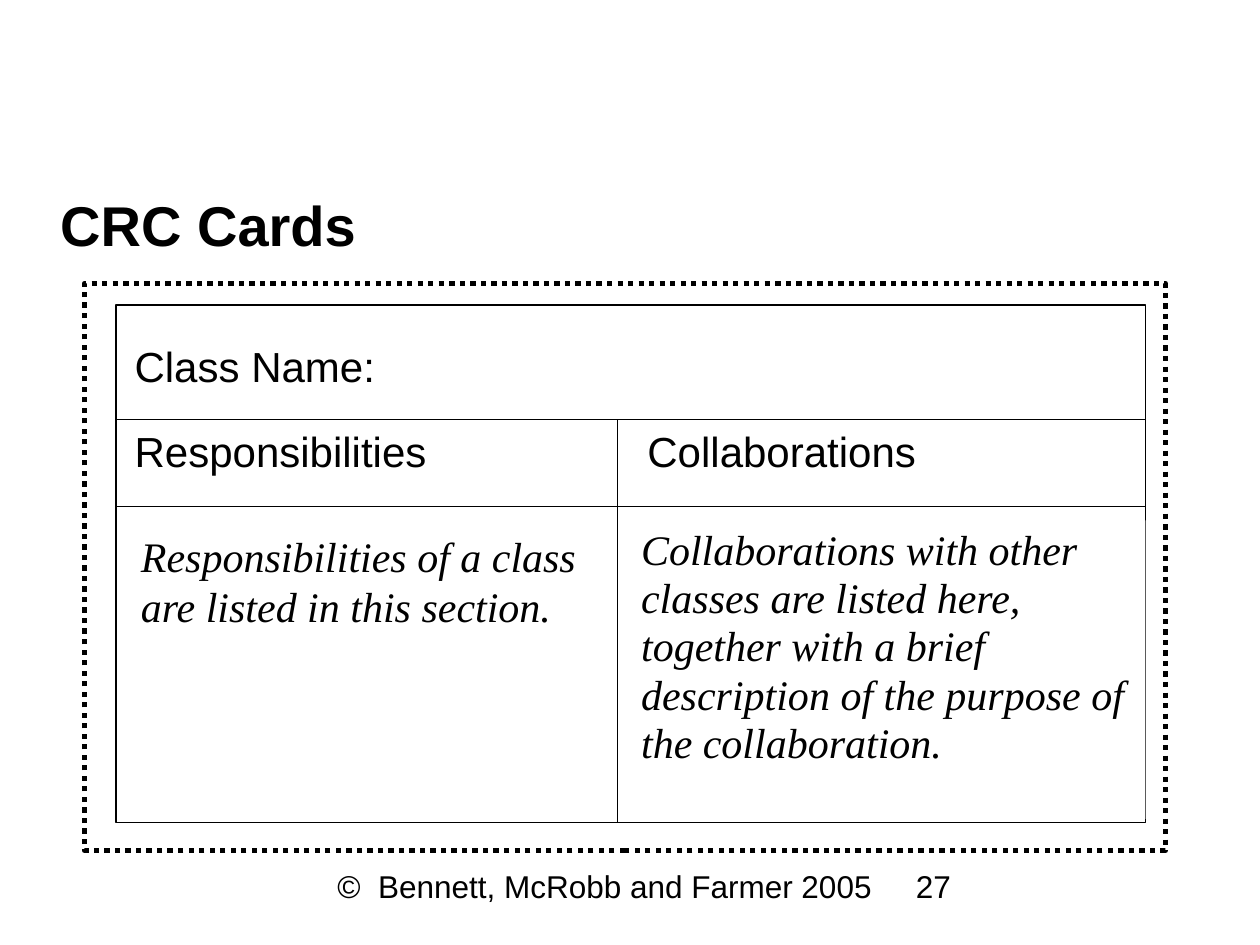
from pptx import Presentation
from pptx import util as u
from pptx.dml.color import RGBColor
from pptx.enum import dml, shapes, text
from pptx.oxml.ns import qn
from lxml import etree

BLACK = RGBColor(0, 0, 0)
WHITE = RGBColor(255, 255, 255)
SANS, SERIF = "Arial", "Times New Roman"

# Content
TITLE = "CRC Cards"
CLASS_LABEL = "Class Name:"
HEADINGS = ["Responsibilities", "Collaborations"]
DESCRIPTIONS = [
    "Responsibilities of a class are listed in this section.",
    "Collaborations with other classes are listed here, together with a brief "
    "description of the purpose of the collaboration.",
]
CREDIT = "©  Bennett, McRobb and Farmer 2005"
PAGE = "27"

# Card grid, in inches: column edges and row edges
COLS = [0.92, 4.9, 9.09]
ROWS = [2.42, 3.33, 4.02, 6.53]
HEADING_LEFTS = [COLS[0] + 0.05, COLS[1] + 0.14]
DESCRIPTION_BOXES = [(1.02, 4.16, 3.85, 2.32), (4.99, 4.13, 4.1, 2.37)]
DESCRIPTION_SPACING = [1.0, 0.96]

prs = Presentation()
prs.slide_width, prs.slide_height = u.Inches(10), u.Inches(7.5)
slide = prs.slides.add_slide(prs.slide_layouts[6])


def inches(values):
    return [u.Inches(v) for v in values]


def add_words(words, box, size=24, font=SANS, bold=False, italic=False,
              spacing=None, fill=None, anchor=text.MSO_ANCHOR.TOP):
    holder = slide.shapes.add_textbox(*inches(box))
    if fill is not None:
        holder.fill.solid()
        holder.fill.fore_color.rgb = fill
    frame = holder.text_frame
    frame.word_wrap = True
    frame.vertical_anchor = anchor
    line = frame.paragraphs[0]
    line.line_spacing = spacing
    run = line.add_run()
    run.text = words
    run.font.name, run.font.size = font, u.Pt(size)
    run.font.bold, run.font.italic = bold, italic
    run.font.color.rgb = BLACK


def add_frame(box, width, dash=None):
    frame = slide.shapes.add_shape(shapes.MSO_SHAPE.RECTANGLE, *inches(box))
    frame.shadow.inherit = False
    frame.fill.solid()
    frame.fill.fore_color.rgb = WHITE
    frame.line.color.rgb = BLACK
    frame.line.width = u.Pt(width)
    frame.line.dash_style = dash


def add_rule(x1, y1, x2, y2):
    rule = slide.shapes.add_connector(
        shapes.MSO_CONNECTOR.STRAIGHT, *inches((x1, y1, x2, y2)))
    rule.line.color.rgb = BLACK
    rule.line.width = u.Pt(0.75)
    etree.SubElement(rule._element.spPr, qn("a:effectLst"))


# Footer and title
add_words(CREDIT, (2.58, 6.83, 4.83, 0.5), size=18)
add_words(PAGE, (7.17, 6.83, 2.08, 0.5), size=18)
add_words(TITLE, (0.38, 1.4, 9.24, 0.76), size=32, bold=True,
          anchor=text.MSO_ANCHOR.MIDDLE)

# Dotted border and card outline
add_frame((0.67, 2.25, 8.58, 4.5), 3, dml.MSO_LINE.ROUND_DOT)
add_frame((COLS[0], ROWS[0], COLS[-1] - COLS[0], ROWS[-1] - ROWS[0]), 0.75)

# Card text
add_words(CLASS_LABEL, (HEADING_LEFTS[0], 2.65, 2.23, 0.68))
for heading, left in zip(HEADINGS, HEADING_LEFTS):
    add_words(heading, (left, ROWS[1], 2.86, ROWS[2] - ROWS[1]))
for words, box, spacing in zip(DESCRIPTIONS, DESCRIPTION_BOXES,
                               DESCRIPTION_SPACING):
    add_words(words, box, font=SERIF, italic=True, spacing=spacing, fill=WHITE)

# Card rules
for y in ROWS[1:3]:
    add_rule(COLS[0], y, COLS[-1], y)
add_rule(COLS[1], ROWS[1], COLS[1], ROWS[-1])

prs.save("out.pptx")
